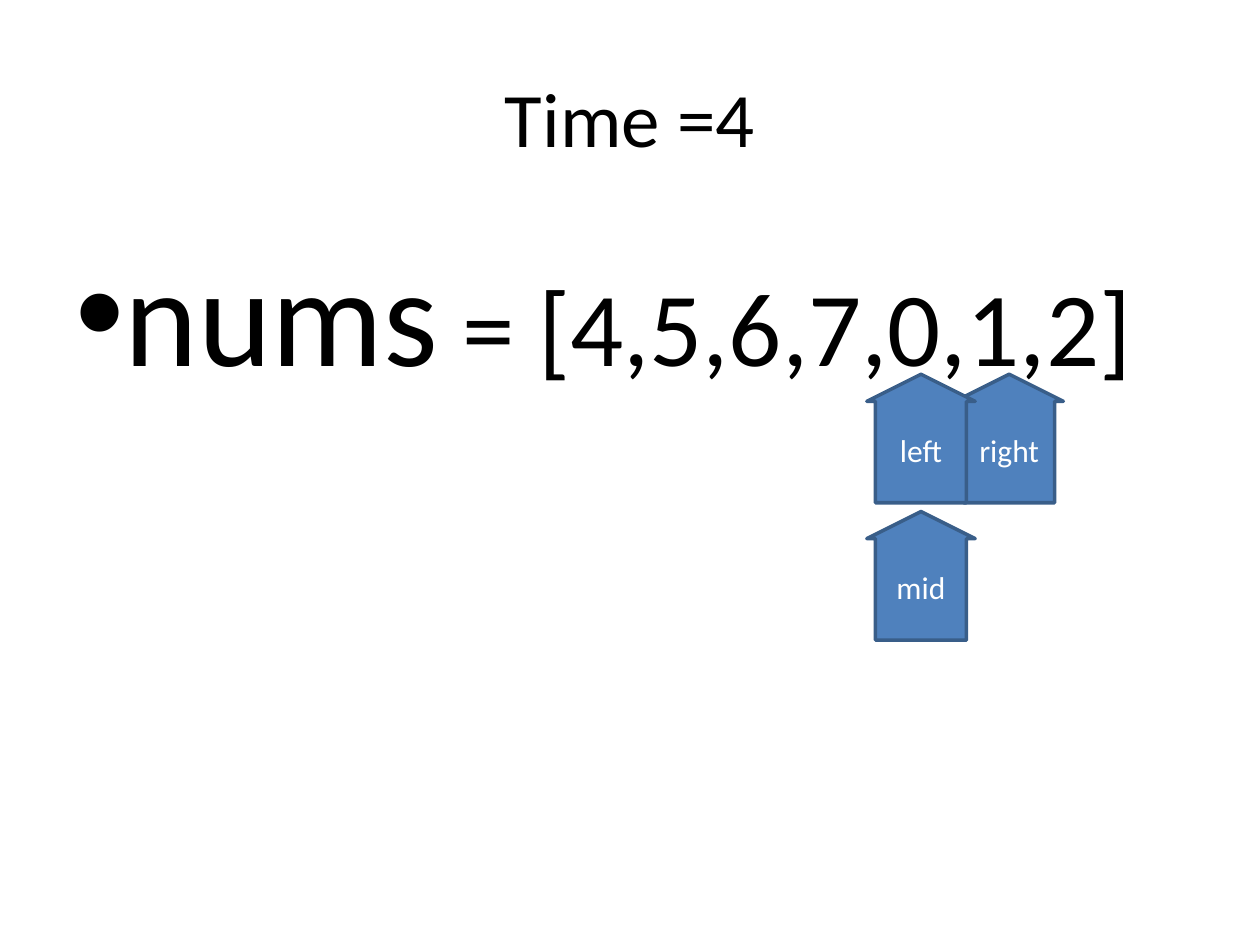
from dataclasses import dataclass

from lxml import etree
from pptx import Presentation
from pptx.dml.color import RGBColor
from pptx.enum.shapes import MSO_SHAPE
from pptx.enum.text import MSO_ANCHOR, MSO_AUTO_SIZE, PP_ALIGN
from pptx.oxml.ns import qn
from pptx.util import Inches, Pt

UP_ARROW = MSO_SHAPE.UP_ARROW
MIDDLE, TOP = MSO_ANCHOR.MIDDLE, MSO_ANCHOR.TOP
CENTER, LEFT = PP_ALIGN.CENTER, PP_ALIGN.LEFT
NO_FIT = MSO_AUTO_SIZE.NONE


@dataclass(frozen=True)
class Theme:
    font: str = "Calibri"
    bullet_font: str = "Arial"
    ink: str = "000000"
    label: str = "FFFFFF"
    fill: str = "4F81BD"
    outline: str = "395E89"
    outline_width: float = 2
    title_size: int = 44
    name_size: int = 80
    values_size: int = 60
    label_size: int = 18


THEME = Theme()


def add_text(paragraph, text, *, size, color=THEME.ink, align=LEFT):
    paragraph.alignment = align
    run = paragraph.add_run()
    run.text = text
    run.font.name = THEME.font
    run.font.size = Pt(size)
    run.font.color.rgb = RGBColor.from_string(color)


def place(part, box, anchor):
    part.left, part.top, part.width, part.height = map(Inches, box)
    frame = part.text_frame
    frame.word_wrap = True
    frame.auto_size = NO_FIT
    frame.vertical_anchor = anchor
    return frame.paragraphs[0]


def add_bullet(paragraph, indent):
    properties = paragraph._p.get_or_add_pPr()
    properties.set("marL", str(Inches(indent)))
    properties.set("indent", str(-Inches(indent)))
    etree.SubElement(properties, qn("a:buFont"), typeface=THEME.bullet_font)
    etree.SubElement(properties, qn("a:buChar"), char="•")


def fill_title(title, box, text):
    add_text(place(title, box, MIDDLE), text, size=THEME.title_size, align=CENTER)


def fill_array(body, box, name, values):
    line = place(body, box, TOP)
    add_text(line, name, size=THEME.name_size)
    add_text(line, f" = [{','.join(map(str, values))}]", size=THEME.values_size)
    add_bullet(line, 0.38)


def add_pointers(slide, box, pointers):
    left, top, width, height = box
    column_step, row_step = 0.7, 1.09
    arrow_width, arrow_height = width - column_step, height - row_step
    for label, column, row in pointers:
        arrow = slide.shapes.add_shape(UP_ARROW, 0, 0, 0, 0)
        arrow.shadow.inherit = False
        arrow.adjustments[0], arrow.adjustments[1] = 0.84, 0.25
        arrow.fill.solid()
        arrow.fill.fore_color.rgb = RGBColor.from_string(THEME.fill)
        arrow.line.color.rgb = RGBColor.from_string(THEME.outline)
        arrow.line.width = Pt(THEME.outline_width)
        cell = (left + column * column_step, top + row * row_step,
                arrow_width, arrow_height)
        add_text(place(arrow, cell, MIDDLE), label, size=THEME.label_size,
                 color=THEME.label, align=CENTER)


def main():
    deck = Presentation()
    deck.slide_width, deck.slide_height = Inches(10), Inches(7.5)
    slide = deck.slides.add_slide(deck.slide_layouts[1])
    fill_title(slide.shapes.title, (0.5, 0.3, 9, 1.25), "Time =4")
    fill_array(slide.placeholders[1], (0.5, 1.75, 9.42, 1.53),
               "nums", [4, 5, 6, 7, 0, 1, 2])
    add_pointers(slide, (6.88, 2.97, 1.56, 2.11),
                 [("right", 1, 0), ("left", 0, 0), ("mid", 0, 1)])
    deck.save("out.pptx")


if __name__ == "__main__":
    main()
